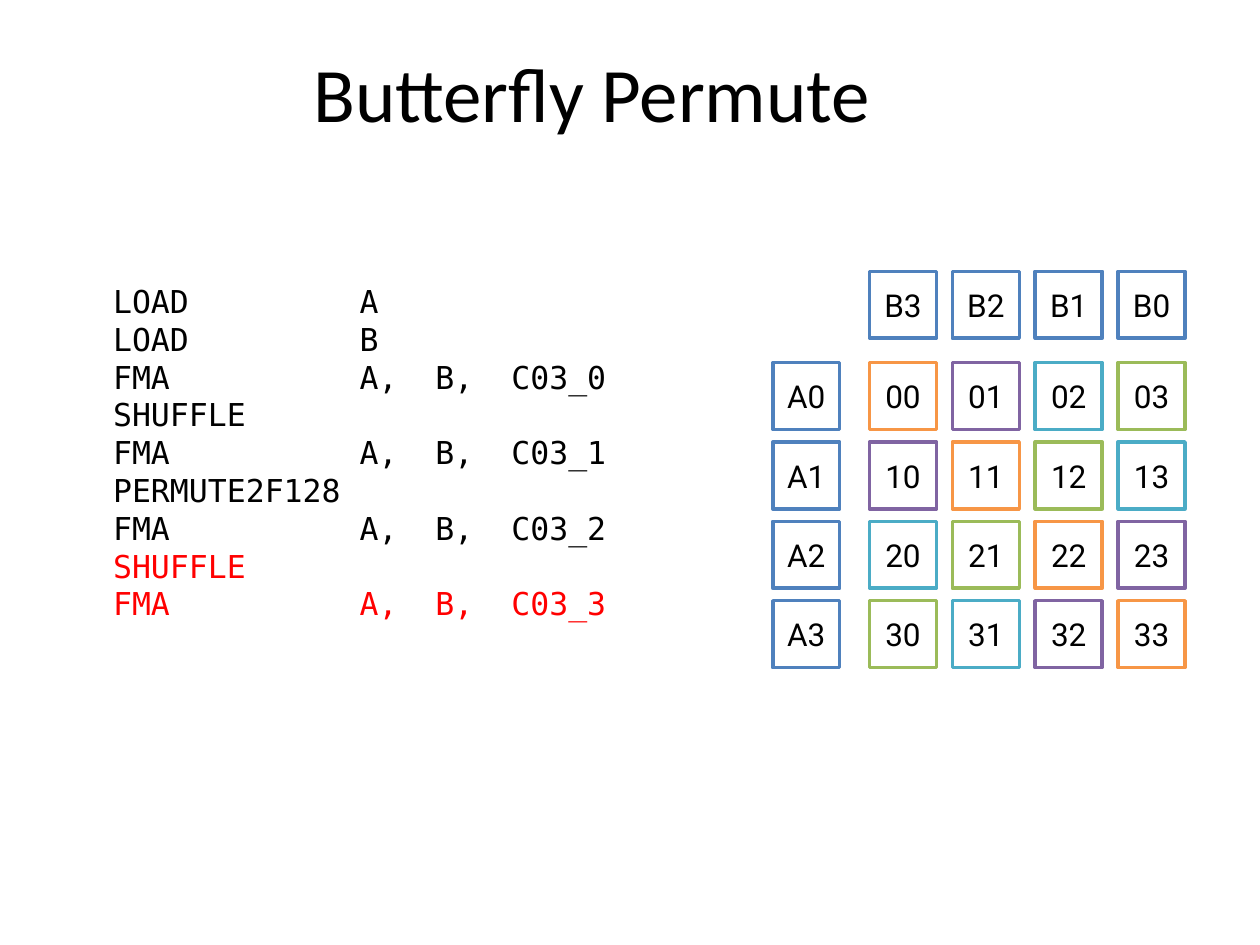
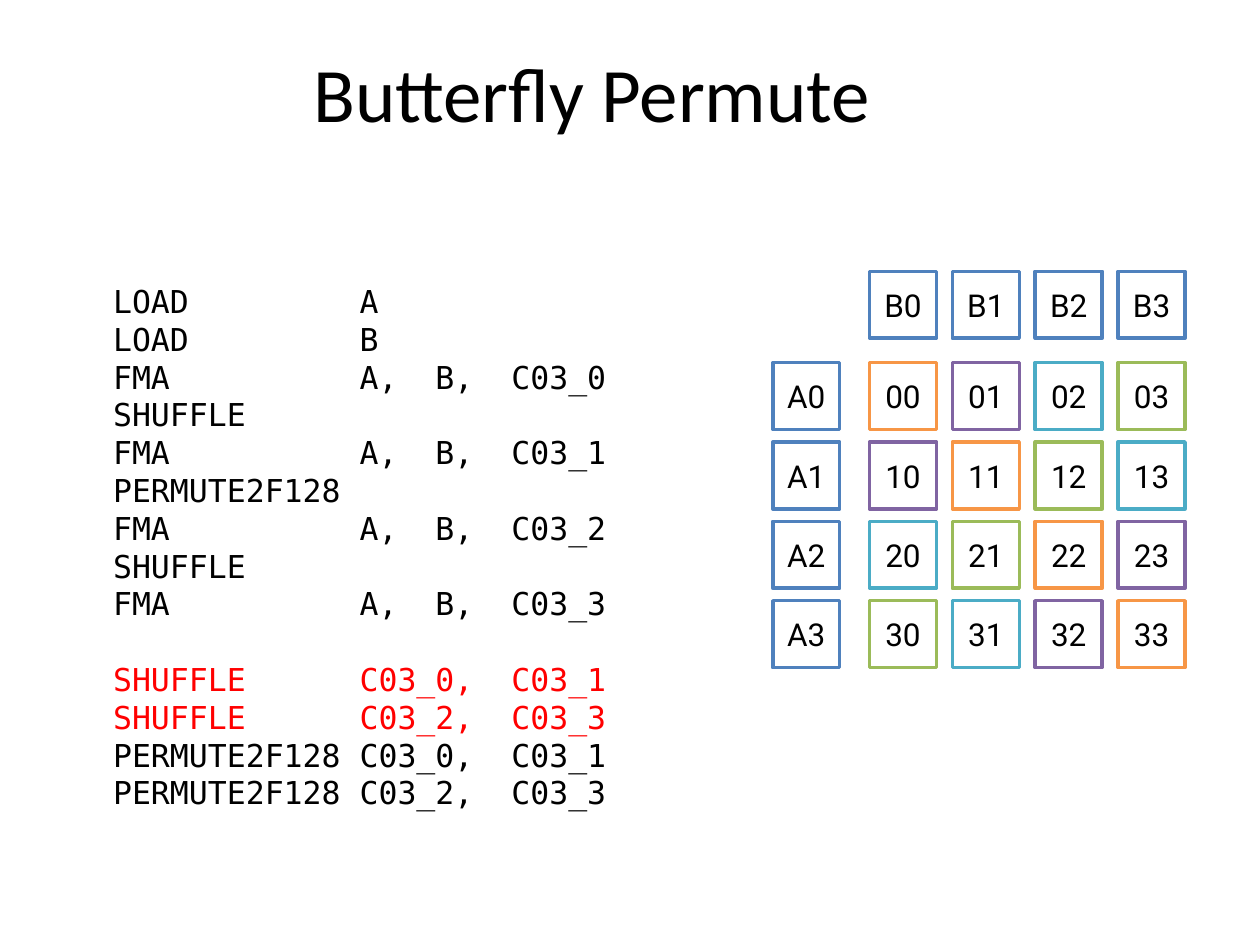
from lxml import etree
from pptx import Presentation
from pptx.dml.color import RGBColor
from pptx.enum.shapes import MSO_SHAPE
from pptx.enum.text import MSO_ANCHOR, PP_ALIGN
from pptx.oxml.ns import qn
from pptx.util import Cm, Pt

RECT = MSO_SHAPE.RECTANGLE
MIDDLE = MSO_ANCHOR.MIDDLE
CENTER = PP_ALIGN.CENTER
LEFT = PP_ALIGN.LEFT

BLACK = RGBColor(0x00, 0x00, 0x00)
RED = RGBColor(0xFF, 0x00, 0x00)
BLUE = RGBColor(0x4F, 0x81, 0xBD)
ORANGE = RGBColor(0xF7, 0x96, 0x46)
PURPLE = RGBColor(0x80, 0x64, 0xA2)
TEAL = RGBColor(0x4B, 0xAC, 0xC6)
GREEN = RGBColor(0x9B, 0xBB, 0x59)

TITLE_FONT = {"name": "Calibri", "size": Pt(44)}
CODE_FONT = {"name": "DejaVu Sans Mono", "size": Pt(18)}
CELL_FONT = {"name": "Roboto", "size": Pt(18)}

# Code columns and matrix grid, in centimetres
TAB_STOPS = (4.97, 6.5, 8.03)
CELL = 1.35
COL_X, COL_STEP = 17.53, 1.67
ROW_Y, ROW_STEP = 7.31, 1.6
A_X, B_Y = 15.58, 5.47
# Cells sharing a colour come from the same FMA: row XOR column
PASS_COLORS = (ORANGE, PURPLE, TEAL, GREEN)

MULTIPLY = [
    "LOAD\tA",
    "LOAD\tB",
    "FMA\tA,\tB,\tC03_0",
    "SHUFFLE",
    "FMA\tA,\tB,\tC03_1",
    "PERMUTE2F128",
    "FMA\tA,\tB,\tC03_2",
    "SHUFFLE",
    "FMA\tA,\tB,\tC03_3",
]
REORDER = [
    "SHUFFLE\tC03_0,\tC03_1",
    "SHUFFLE\tC03_2,\tC03_3",
    "PERMUTE2F128\tC03_0,\tC03_1",
    "PERMUTE2F128\tC03_2,\tC03_3",
]
# Code blocks, numbers of the red lines, order of B, height of the code box
SLIDES = [
    ([MULTIPLY], (7, 8), (3, 2, 1, 0), 7.19),
    ([MULTIPLY, REORDER], (9, 10), (0, 1, 2, 3), 11.79),
]


def add_text(p, text, fmt, color=BLACK, align=LEFT):
    p.alignment = align
    r = p.add_run()
    r.text = text
    for key, value in fmt.items():
        setattr(r.font, key, value)
    r.font.color.rgb = color


def add_cell(s, x, y, text, color):
    sp = s.shapes.add_shape(RECT, Cm(x), Cm(y), Cm(CELL), Cm(CELL))
    sp.shadow.inherit = False
    sp.fill.background()
    sp.line.color.rgb = color
    sp.line.width = Pt(2)
    tf = sp.text_frame
    tf.margin_left = tf.margin_right = tf.margin_top = tf.margin_bottom = 0
    tf.vertical_anchor = MIDDLE
    tf.word_wrap = False
    add_text(tf.paragraphs[0], text, CELL_FONT, align=CENTER)


prs = Presentation()
prs.slide_width, prs.slide_height = Cm(25.4), Cm(19.05)

for blocks, red_lines, b_order, code_height in SLIDES:
    s = prs.slides.add_slide(prs.slide_layouts[6])

    # Title
    tf = s.shapes.add_textbox(Cm(0.51), Cm(0.25), Cm(22.86), Cm(3.18)).text_frame
    tf.word_wrap = True
    tf.vertical_anchor = MIDDLE
    add_text(tf.paragraphs[0], "Butterfly Permute", TITLE_FONT, align=CENTER)

    # Instruction listing, with a one-line gap between blocks
    tf = s.shapes.add_textbox(Cm(2.03), Cm(5.56), Cm(11.38), Cm(code_height)).text_frame
    tf.word_wrap = True
    number = 0
    for block in blocks:
        for i, line in enumerate(block):
            p = tf.add_paragraph() if number else tf.paragraphs[0]
            add_text(p, line, CODE_FONT, RED if number in red_lines else BLACK)
            if number and i == 0:
                p.space_before = Pt(21.6)
            tabs = etree.SubElement(p._p.get_or_add_pPr(), qn("a:tabLst"))
            for stop in TAB_STOPS:
                etree.SubElement(tabs, qn("a:tab"), pos=str(Cm(stop)), algn="l")
            number += 1

    # Vector B across the top
    for col, b in enumerate(b_order):
        add_cell(s, COL_X + col * COL_STEP, B_Y, f"B{b}", BLUE)

    # Vector A down the side and the product matrix
    for row in range(4):
        y = ROW_Y + row * ROW_STEP
        add_cell(s, A_X, y, f"A{row}", BLUE)
        for col in range(4):
            add_cell(s, COL_X + col * COL_STEP, y, f"{row}{col}", PASS_COLORS[row ^ col])

prs.save("out.pptx")
